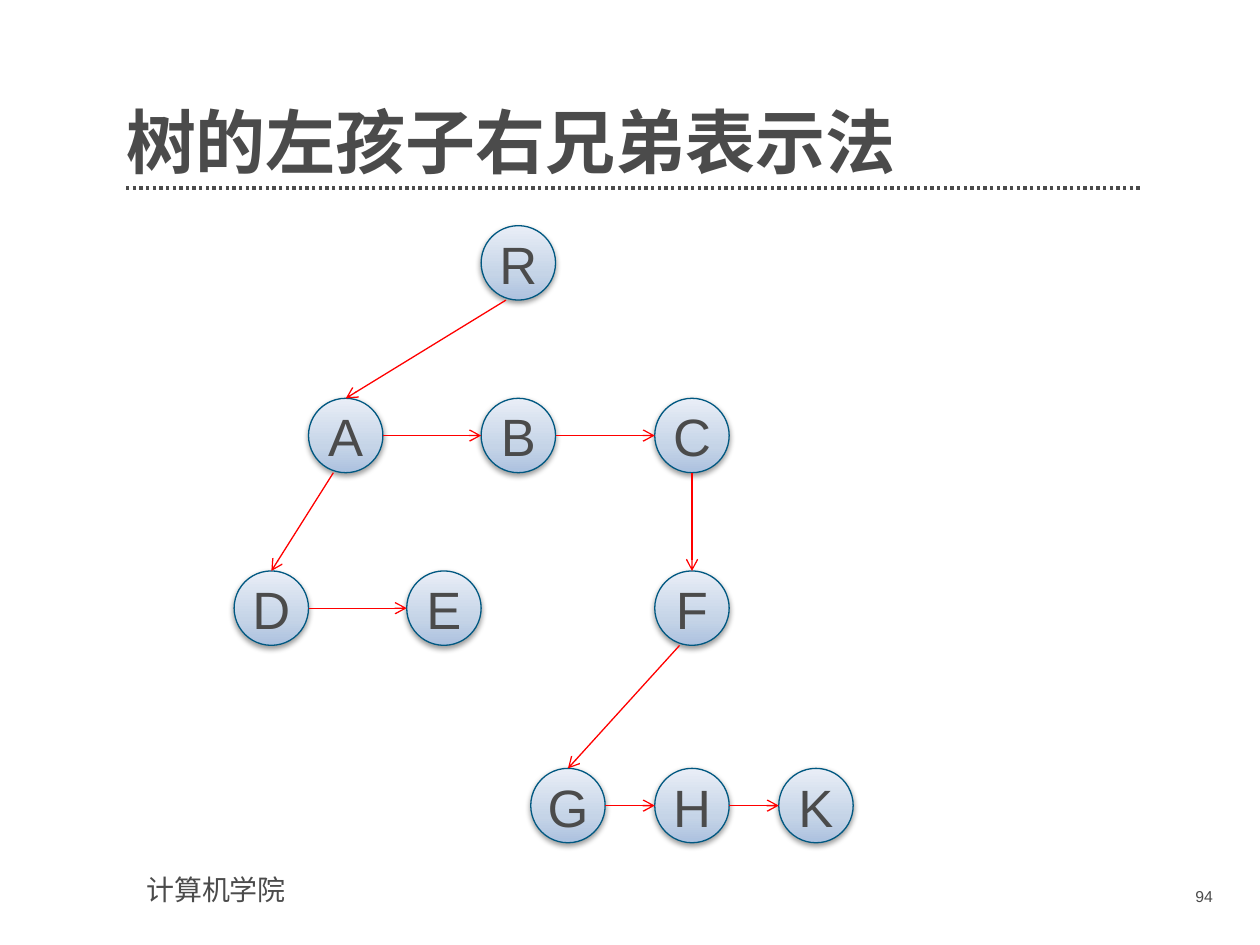
from copy import deepcopy
from dataclasses import dataclass

from lxml import etree
from pptx import Presentation
from pptx.dml.color import RGBColor
from pptx.enum.dml import MSO_LINE
from pptx.enum.shapes import MSO_CONNECTOR, MSO_SHAPE
from pptx.enum.text import MSO_ANCHOR, MSO_AUTO_SIZE, PP_ALIGN
from pptx.oxml.ns import qn
from pptx.util import Cm, Pt

OVAL = MSO_SHAPE.OVAL
STRAIGHT = MSO_CONNECTOR.STRAIGHT
DOTS = MSO_LINE.ROUND_DOT
BOTTOM = MSO_ANCHOR.BOTTOM
NO_FIT = MSO_AUTO_SIZE.NONE
LEFT, MID, RIGHT = PP_ALIGN.LEFT, PP_ALIGN.CENTER, PP_ALIGN.RIGHT

COLORS = {
    "text": "4B4B4B",
    "edge": "FF0000",
    "rim": "005881",
    "low": "ACC1DF",
    "mid": "C5D4E7",
    "high": "E9EEF7",
    "shade": "000000",
}
STOPS = [(0, "low"), (0.35, "mid"), (1, "high")]
LATIN, HAN = "Arial", "Noto Sans CJK SC"
SIZE = 1.5
SHIFT = 0.25
ROWS = [4.55, 8.03, 11.51, 15.49]


@dataclass(frozen=True)
class Node:
    name: str
    left: float
    row: int

    @property
    def top(self) -> float:
        return ROWS[self.row]


NODES = [
    Node("R", 9.7, 0),
    Node("B", 9.7, 1),
    Node("A", 6.22, 1),
    Node("C", 13.2, 1),
    Node("E", 8.2, 2),
    Node("D", 4.72, 2),
    Node("F", 13.2, 2),
    Node("H", 13.2, 3),
    Node("G", 10.7, 3),
    Node("K", 15.7, 3),
]
CHILDREN = ["RA", "AD", "CF", "FG"]
SIBLINGS = ["AB", "BC", "DE", "GH", "HK"]


def tint(key: str) -> RGBColor:
    return RGBColor.from_string(COLORS[key])


def write(frame, text: str, size: float, align=LEFT, bold: bool = False, face: str = LATIN) -> None:
    frame.text = text
    frame.word_wrap = True
    para = frame.paragraphs[0]
    para.alignment = align
    font = para.runs[0].font
    font.size = Pt(size)
    font.bold = bold
    font.name = face
    font.color.rgb = tint("text")
    latin = font._element.find(qn("a:latin"))
    east = etree.Element(qn("a:ea"), typeface=HAN)
    latin.addnext(east)


def add_label(shapes, box: tuple, text: str, size: float, align=LEFT) -> None:
    label = shapes.add_textbox(*map(Cm, box))
    write(label.text_frame, text, size, align)


def add_line(shapes, start: tuple, end: tuple, color: str, width: float):
    line = shapes.add_connector(STRAIGHT, *map(Cm, start + end))
    line.line.color.rgb = tint(color)
    line.line.width = Pt(width)
    etree.SubElement(line._element.spPr, qn("a:effectLst"))
    return line


def add_arrow(shapes, start: tuple, end: tuple) -> None:
    line = add_line(shapes, start, end, "edge", 0.75)
    etree.SubElement(line.line._get_or_add_ln(), qn("a:tailEnd"), type="arrow")


def add_shade(shape) -> None:
    shape.shadow.inherit = False
    effects = shape._element.spPr.find(qn("a:effectLst"))
    outer = etree.SubElement(
        effects, qn("a:outerShdw"),
        blurRad="40000", dist="20000", dir="5400000", rotWithShape="0",
    )
    color = etree.SubElement(outer, qn("a:srgbClr"), val=COLORS["shade"])
    etree.SubElement(color, qn("a:alpha"), val="38000")


def add_node(shapes, node: Node) -> None:
    group = shapes.add_group_shape().shapes
    box = (node.left, node.top, SIZE, SIZE)
    oval = group.add_shape(OVAL, *map(Cm, box))
    oval.fill.gradient()
    oval.fill.gradient_angle = 90
    stops = oval._element.spPr.find(".//" + qn("a:gsLst"))
    stops.append(deepcopy(stops[0]))
    for stop, (place, color) in zip(oval.fill.gradient_stops, STOPS):
        stop.position = place
        stop.color.rgb = tint(color)
    oval.line.color.rgb = tint("rim")
    oval.line.width = Pt(0.75)
    add_shade(oval)
    add_label(group, box, node.name, 30, MID)


def link_child(shapes, node: Node, child: Node) -> None:
    half = SIZE / 2
    shift = SHIFT if child.left < node.left else 0
    start = (node.left + half - shift, node.top + SIZE)
    add_arrow(shapes, start, (child.left + half, child.top))


def link_next(shapes, node: Node, peer: Node) -> None:
    level = node.top + SIZE / 2
    add_arrow(shapes, (node.left + SIZE, level), (peer.left, level))


def set_title(title, text: str) -> None:
    title.left, title.top, title.width, title.height = map(Cm, (2.54, 1.4, 20.47, 2.31))
    frame = title.text_frame
    write(frame, text, 40, bold=True, face=HAN)
    frame.auto_size = NO_FIT
    frame.vertical_anchor = BOTTOM
    frame.margin_left = frame.margin_right = 0
    frame.margin_top = frame.margin_bottom = 0
    frame.paragraphs[0].line_spacing = 0.9


def main() -> None:
    deck = Presentation()
    deck.slide_width, deck.slide_height = Cm(25.4), Cm(19.05)
    slide = deck.slides.add_slide(deck.slide_layouts[5])
    shapes = slide.shapes

    rule = add_line(shapes, (2.54, 3.79), (23.01, 3.79), "text", 1.9)
    rule.line.dash_style = DOTS
    set_title(shapes.title, "树的左孩子右兄弟表示法")
    add_label(shapes, (2.7, 17.47, 7, 0.94), "计算机学院", 16)
    add_label(shapes, (22.18, 17.75, 2.52, 0.74), "94", 9, RIGHT)

    for node in NODES:
        add_node(shapes, node)
    tree = {node.name: node for node in NODES}
    for start, end in CHILDREN:
        link_child(shapes, tree[start], tree[end])
    for start, end in SIBLINGS:
        link_next(shapes, tree[start], tree[end])

    deck.save("out.pptx")


if __name__ == "__main__":
    main()
